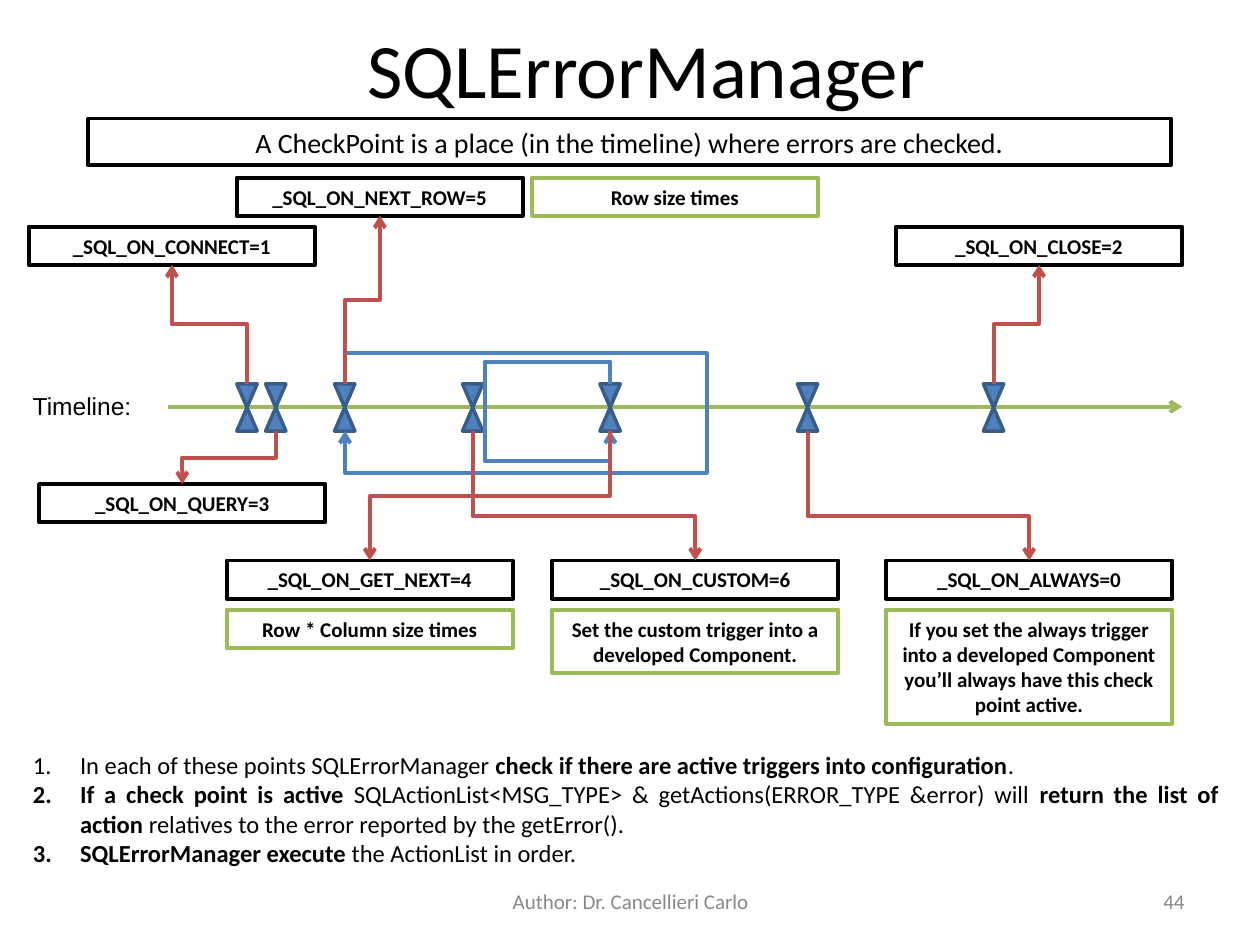
from pptx import Presentation
from pptx.dml.color import RGBColor
from pptx.enum.shapes import MSO_CONNECTOR, MSO_SHAPE
from pptx.enum.text import MSO_ANCHOR, MSO_AUTO_SIZE, PP_ALIGN
from pptx.oxml.ns import qn
from pptx.util import Cm, Pt
from lxml.etree import SubElement

BLACK = RGBColor(0x00, 0x00, 0x00)
WHITE = RGBColor(0xFF, 0xFF, 0xFF)
GREEN = RGBColor(0x9B, 0xBB, 0x59)
BLUE = RGBColor(0x4F, 0x81, 0xBD)
NAVY = RGBColor(0x38, 0x5D, 0x8A)
RED = RGBColor(0xC0, 0x50, 0x4D)
GREY = RGBColor(0x89, 0x89, 0x89)

deck = Presentation()
deck.slide_width, deck.slide_height = Cm(25.4), Cm(19.05)
slide = deck.slides.add_slide(deck.slide_layouts[1])
shapes = slide.shapes


def style(para, size, color=BLACK, bold=False, align=PP_ALIGN.CENTER, name="Calibri"):
    para.alignment = align
    font = para.font
    font.name, font.size, font.bold = name, Pt(size), bold
    font.color.rgb = color


def arrow(start, end, color, kind=MSO_CONNECTOR.ELBOW, bends=(), glue=()):
    """Draw an arrow; elbows leave vertically and bends are their adjust ratios."""
    (x1, y1), (x2, y2) = start, end
    link = shapes.add_connector(kind, Cm(x1), Cm(y1), Cm(x2), Cm(y2))
    link.line.color.rgb, link.line.width = color, Pt(2.25)
    prop = link._element.spPr
    SubElement(prop.find(qn("a:ln")), qn("a:tailEnd"), type="arrow")
    SubElement(prop, qn("a:effectLst"))
    if not bends:
        return
    (mark, out), (box, into) = glue
    link.begin_connect(mark, out)
    link.end_connect(box, into)
    # A vertical elbow is a horizontal one turned by a quarter about its centre
    wide, high = abs(y2 - y1), max(abs(x2 - x1), 0.01)
    link.left, link.top = Cm((x1 + x2 - wide) / 2), Cm((y1 + y2 - high) / 2)
    link.width, link.height = Cm(wide), Cm(high)
    right, up = x2 >= x1, y2 < y1
    frame = prop.find(qn("a:xfrm"))
    frame.set("rot", str((90 if right == up else 270) * 60000))
    frame.set("flipH", str(int(right)))
    frame.set("flipV", str(int(up)))
    geom = prop.find(qn("a:prstGeom"))
    geom.set("prst", f"bentConnector{len(bends) + 2}")
    guides = geom.find(qn("a:avLst"))
    for num, bend in enumerate(bends, 1):
        SubElement(guides, qn("a:gd"), name=f"adj{num}", fmla=f"val {round(bend * 100000)}")


# Title
title = shapes.title
title.left, title.top, title.width, title.height = Cm(2.24), Cm(0), Cm(21.59), Cm(2.74)
title.text_frame.text = "SQLErrorManager"
title.text_frame.vertical_anchor = MSO_ANCHOR.MIDDLE
style(title.text_frame.paragraphs[0], 44)

# Boxes: text, left, top, width, height, line colour, size
WIDE, LOW = 5.77, 0.77
cards = [
    ("A CheckPoint is a place (in the timeline) where errors are checked.",
     1.78, 2.39, 21.82, 0.94, BLACK, 16),
    ("_SQL_ON_CONNECT=1", 0.58, 4.57, WIDE, LOW, BLACK, 12),
    ("_SQL_ON_CLOSE=2", 18.06, 4.57, WIDE, LOW, BLACK, 12),
    ("_SQL_ON_NEXT_ROW=5", 4.77, 3.58, WIDE, LOW, BLACK, 12),
    ("_SQL_ON_QUERY=3", 0.79, 9.76, WIDE, LOW, BLACK, 12),
    ("_SQL_ON_GET_NEXT=4", 4.57, 11.3, WIDE, LOW, BLACK, 12),
    ("_SQL_ON_CUSTOM=6", 11.13, 11.3, WIDE, LOW, BLACK, 12),
    ("_SQL_ON_ALWAYS=0", 17.86, 11.3, WIDE, LOW, BLACK, 12),
    ("Row size times", 10.72, 3.58, WIDE, LOW, GREEN, 12),
    ("Row * Column size times", 4.57, 12.29, WIDE, LOW, GREEN, 12),
    ("Set the custom trigger into a developed Component.",
     11.13, 12.29, WIDE, 1.28, GREEN, 12),
    ("If you set the always trigger into a developed Component "
     "you’ll always have this check point active.",
     17.86, 12.29, WIDE, 2.3, GREEN, 12),
]
boxes = {}
for text, left, top, wide, high, color, size in cards:
    box = shapes.add_shape(MSO_SHAPE.RECTANGLE, Cm(left), Cm(top), Cm(wide), Cm(high))
    box.shadow.inherit = False
    box.fill.solid()
    box.fill.fore_color.rgb = WHITE
    box.line.color.rgb, box.line.width = color, Pt(2.25)
    box.text_frame.word_wrap = True
    box.text_frame.text = text
    style(box.text_frame.paragraphs[0], size, bold=size == 12)
    boxes[text] = box, left + wide / 2, top

# Timeline and its check points
arrow((3.38, 8.2), (23.83, 8.2), GREEN, MSO_CONNECTOR.STRAIGHT)
TOP, TALL, SLIM = 7.74, 0.95, 0.41
FOOT = TOP + TALL
points = [
    (4.98, "_SQL_ON_CONNECT=1", 0.5),
    (5.56, "_SQL_ON_QUERY=3", 0.5),
    (6.95, "_SQL_ON_NEXT_ROW=5", 0.5),
    (9.53, "_SQL_ON_CUSTOM=6", 0.66),
    (12.3, "_SQL_ON_GET_NEXT=4", 0.5),
    (16.28, "_SQL_ON_ALWAYS=0", 0.66),
    (20.03, "_SQL_ON_CLOSE=2", 0.5),
]
marks = {}
for x, name, bend in points:
    mark = shapes.add_shape(MSO_SHAPE.FLOWCHART_COLLATE,
                            Cm(x - SLIM / 2), Cm(TOP), Cm(SLIM), Cm(TALL))
    mark.shadow.inherit = False
    mark.fill.solid()
    mark.fill.fore_color.rgb = BLUE
    mark.line.color.rgb, mark.line.width = NAVY, Pt(2)
    marks[x] = mark

# Loops: check point, side, upper and lower turn
for x, side, high, low in [(12.3, 9.78, 7.29, 9.3), (6.95, 14.25, 7.11, 9.53)]:
    bends = (high - TOP) / TALL, (side - x) / 0.01, (low - TOP) / TALL
    arrow((x, TOP), (x, FOOT), BLUE, bends=bends, glue=((marks[x], 0), (marks[x], 1)))

# Links from check points to triggers
for x, name, bend in points:
    box, mid, top = boxes[name]
    if top < TOP:
        arrow((x, TOP), (mid, top + LOW), RED, bends=[bend], glue=((marks[x], 0), (box, 2)))
    else:
        arrow((x, FOOT), (mid, top), RED, bends=[bend], glue=((marks[x], 1), (box, 0)))

# Numbered steps, each run with its bold flag
steps = [
    [("In each of these points SQLErrorManager ", False),
     ("check if there are active triggers into configuration", True), (".", False)],
    [("If a check point is active", True),
     (" SQLActionList<MSG_TYPE> & getActions(ERROR_TYPE &error) will ", False),
     ("return the list of action ", True),
     ("relatives to the error reported by the getError().", False)],
    [("SQLErrorManager execute", True), (" the ActionList in order.", False)],
]
body = slide.placeholders[1]
body.left, body.top, body.width, body.height = Cm(0.41), Cm(14.99), Cm(24.41), Cm(2.64)
frame = body.text_frame
frame.auto_size = MSO_AUTO_SIZE.NONE
for num, step in enumerate(steps):
    para = frame.add_paragraph() if num else frame.paragraphs[0]
    prop = para._p.get_or_add_pPr()
    prop.set("marL", str(Cm(0.95)))
    prop.set("indent", str(-Cm(0.95)))
    SubElement(prop, qn("a:buFont"), typeface="Calibri")
    SubElement(prop, qn("a:buAutoNum"), type="arabicPeriod")
    style(para, 14, align=PP_ALIGN.JUSTIFY)
    para.space_before = Pt(0)
    for text, bold in step:
        run = para.add_run()
        run.text, run.font.bold = text, bold

# Plain labels: timeline, author and page number
labels = [
    ("Timeline:", 0.41, 7.74, 2.97, 0.86, 14, BLACK, PP_ALIGN.LEFT, "Arial"),
    ("Author: Dr. Cancellieri Carlo", 8.69, 17.65, 8.05, 1.02, 12, GREY, PP_ALIGN.CENTER, "Calibri"),
    ("44", 18.21, 17.65, 5.92, 1.02, 12, GREY, PP_ALIGN.RIGHT, "Calibri"),
]
for text, left, top, wide, high, size, color, align, name in labels:
    label = shapes.add_textbox(Cm(left), Cm(top), Cm(wide), Cm(high)).text_frame
    label.word_wrap = True
    label.vertical_anchor = MSO_ANCHOR.MIDDLE
    label.text = text
    style(label.paragraphs[0], size, color, align=align, name=name)

deck.save("out.pptx")
